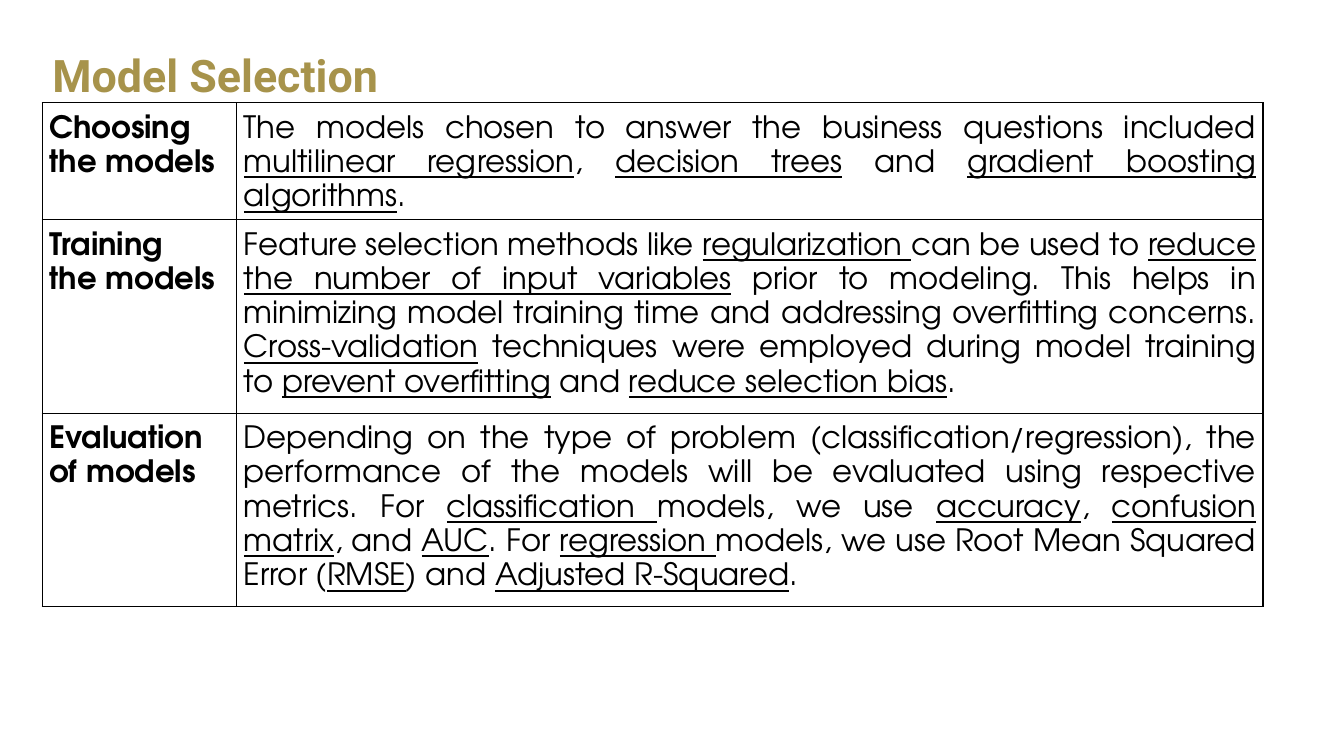
from lxml import etree
from pptx import Presentation, util as u
from pptx.dml.color import RGBColor
from pptx.enum import text
from pptx.oxml.ns import qn

FONT = "TeX Gyre Adventor"
# Underscores enclose the underlined phrases
ROWS = [
    (72, ["Choosing ", "the models"],
     "The models chosen to answer the business questions included _multilinear regression_, "
     "_decision trees_ and _gradient boosting algorithms_."),
    (138.24, ["Training ", "the models"],
     "Feature selection methods like _regularization _can be used to _reduce the number of input "
     "variables_ prior to modeling. This helps in minimizing model training time and addressing "
     "overfitting concerns. _Cross-validation_ techniques were employed during model training to "
     "_prevent overfitting_ and _reduce selection bias_."),
    (138.24, ["Evaluation", "of models"],
     "Depending on the type of problem (classification/regression), the performance of the models "
     "will be evaluated using respective metrics. For _classification _models, we use _accuracy_, "
     "_confusion matrix_, and _AUC_. For _regression _models, we use Root Mean Squared Error "
     "(_RMSE_) and _Adjusted R-Squared_."),
]


def rgb(value):
    return RGBColor.from_string(value)


def add_run(p, words, name, size, color, bold=False, underline=False):
    r = p.add_run()
    r.text = words
    f = r.font
    f.name, f.size, f.bold, f.underline = name, u.Pt(size), bold, underline
    f.color.rgb = rgb(color)


prs = Presentation()
prs.slide_width, prs.slide_height = u.Pt(960), u.Pt(540)
s = prs.slides.add_slide(prs.slide_layouts[5])

# Title
title = s.shapes.title
title.left, title.top, title.width, title.height = u.Pt(30.24), u.Pt(15.84), u.Pt(900), u.Pt(80)
tf = title.text_frame
tf.auto_size = text.MSO_AUTO_SIZE.NONE
tf.vertical_anchor = text.MSO_ANCHOR.MIDDLE
p = tf.paragraphs[0]
p.alignment = text.PP_ALIGN.LEFT
p.line_spacing = 0.9
add_run(p, "Model Selection", "Roboto", 32, "A7934B", bold=True)

# Table
widths = [138.96, 732.96]
heights = [row[0] for row in ROWS]
table = s.shapes.add_table(len(ROWS), 2, u.Pt(30.24), u.Pt(73.44),
                           u.Pt(sum(widths)), u.Pt(sum(heights))).table
table.first_row = table.horz_banding = False
for column, width in zip(table.columns, widths):
    column.width = u.Pt(width)

# Wording
for i, (height, heading, body) in enumerate(ROWS):
    table.rows[i].height = u.Pt(height)
    p = table.cell(i, 0).text_frame.paragraphs[0]
    add_run(p, heading[0], FONT, 22, "000000", bold=True)
    p.add_line_break()
    add_run(p, heading[1], FONT, 22, "000000", bold=True)
    p = table.cell(i, 1).text_frame.paragraphs[0]
    for n, words in enumerate(body.split("_")):
        add_run(p, words, FONT, 22, "000000", underline=n % 2 == 1)

# Cell margins, spacing and borders
for cell in table.iter_cells():
    cell.margin_left = cell.margin_right = cell.margin_top = cell.margin_bottom = u.Pt(5)
    p = cell.text_frame.paragraphs[0]
    p.alignment = text.PP_ALIGN.JUSTIFY
    p.line_spacing = 1.2
    tcPr = cell._tc.get_or_add_tcPr()
    for side in ("a:lnL", "a:lnR", "a:lnT", "a:lnB"):
        ln = etree.SubElement(tcPr, qn(side), w=str(u.Pt(1)))
        fill = etree.SubElement(ln, qn("a:solidFill"))
        etree.SubElement(fill, qn("a:srgbClr"), val="000000")
    cell.fill.background()

prs.save("out.pptx")
